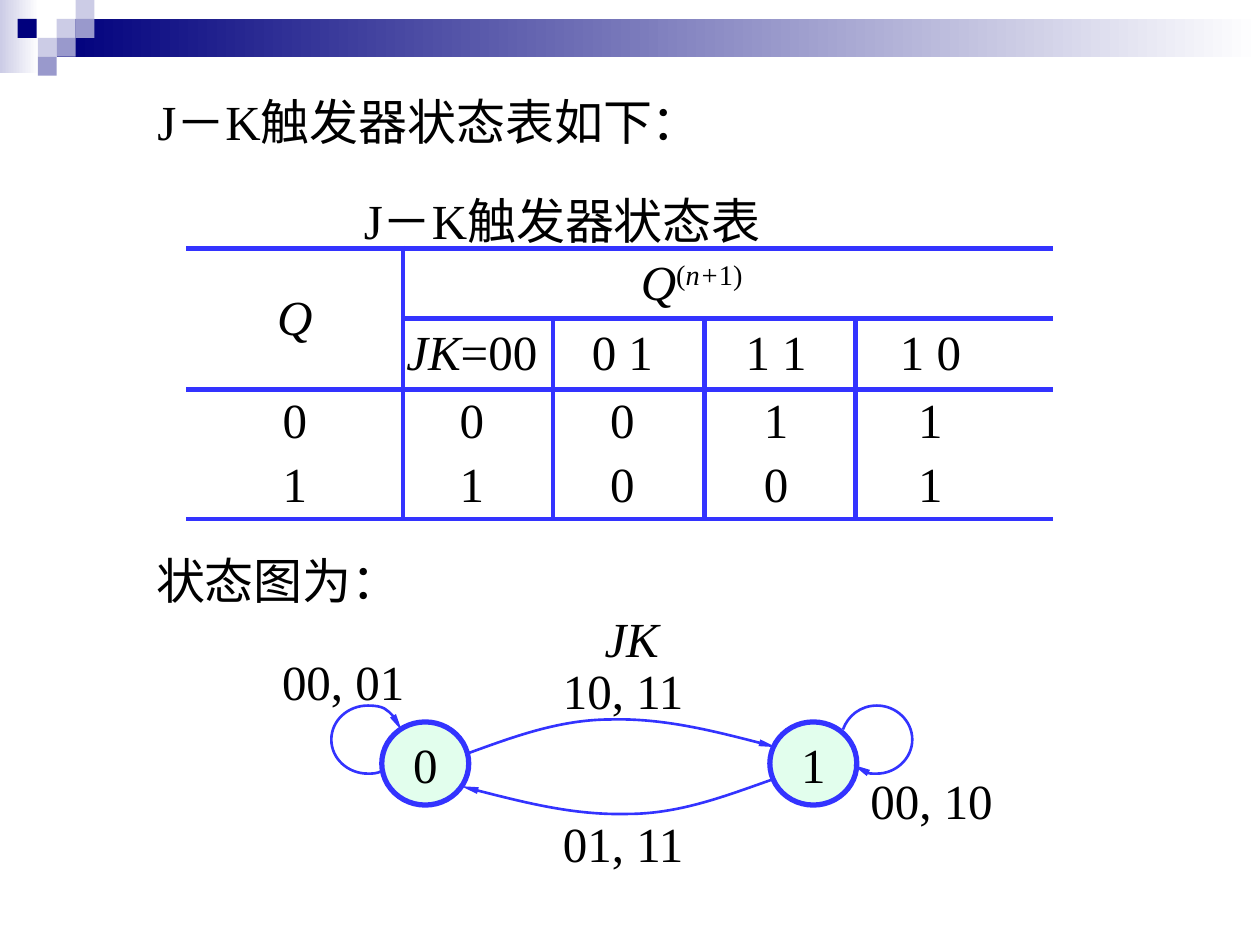
from dataclasses import dataclass

from lxml.etree import SubElement
from pptx import Presentation
from pptx.dml.color import RGBColor
from pptx.enum.shapes import MSO_SHAPE
from pptx.enum.text import MSO_ANCHOR, MSO_AUTO_SIZE, PP_ALIGN
from pptx.oxml import parse_xml
from pptx.oxml.ns import nsdecls, qn
from pptx.util import Inches, Pt


@dataclass(frozen=True)
class Theme:
    font: str = "Times New Roman"
    size: int = 28
    ink: str = "000000"
    rule: str = "3333FF"
    state: str = "E2FEED"
    navy: str = "00007D"
    lilac: str = "CCCCE6"
    violet: str = "9999CC"
    white: str = "FFFFFF"
    heavy: float = 3
    light: float = 1.5


@dataclass(frozen=True)
class Span:
    text: str
    italic: bool = False
    raised: bool = False


THEME = Theme()
COLUMNS = (1.72, 1.19, 1.2, 1.2, 1.57)
ROWS = (0.56, 0.56, 0.51, 0.52)


def color(value):
    return RGBColor.from_string(value)


def write(frame, spans, align=PP_ALIGN.LEFT):
    para = frame.paragraphs[0]
    para.alignment = align
    for span in spans:
        run = para.add_run()
        run.text = span.text
        run.font.name = THEME.font
        run.font.size = Pt(THEME.size)
        run.font.italic = span.italic
        run.font.color.rgb = color(THEME.ink)
        if span.raised:
            run.font._element.set("baseline", "30000")


def add_label(page, left, top, width, text, italic=False):
    box = page.shapes.add_textbox(Inches(left), Inches(top), Inches(width), Inches(0.57))
    box.text_frame.word_wrap = False
    box.text_frame.auto_size = MSO_AUTO_SIZE.SHAPE_TO_FIT_TEXT
    write(box.text_frame, [Span(text, italic)])


def add_block(page, left, top, width, height, fill, fade=None):
    block = page.shapes.add_shape(
        MSO_SHAPE.RECTANGLE, Inches(left), Inches(top), Inches(width), Inches(height)
    )
    block.shadow.inherit = False
    block.line.fill.background()
    if fade:
        block.fill.gradient()
        block.fill.gradient_angle = 0
        for stop, value in zip(block.fill.gradient_stops, (fill, fade)):
            stop.color.rgb = color(value)
    else:
        block.fill.solid()
        block.fill.fore_color.rgb = color(fill)


def add_banner(page):
    add_block(page, 0, 0, 0.31, 0.58, THEME.lilac, THEME.white)
    add_block(page, 0.45, 0.15, 9.55, 0.3, THEME.navy, THEME.white)
    squares = [
        (0.45, 0.15, THEME.lilac),
        (0.6, 0, THEME.lilac),
        (0.6, 0.15, THEME.violet),
        (0.3, 0.3, THEME.lilac),
        (0.14, 0.15, THEME.navy),
        (0.45, 0.3, THEME.violet),
        (0.3, 0.45, THEME.violet),
    ]
    for left, top, fill in squares:
        add_block(page, left, top, 0.15, 0.15, fill)


def set_borders(cell, row, column):
    ruled = {
        "L": column == 1 or (column > 1 and row > 0),
        "R": column == 0 or (column < 4 and row > 0),
        "T": row in (0, 2) or (row == 1 and column > 0),
        "B": row in (1, 3) or (row == 0 and column > 0),
    }
    properties = cell._tc.get_or_add_tcPr()
    for index, (side, visible) in enumerate(ruled.items()):
        paint = "<a:noFill/>"
        if visible:
            paint = f'<a:solidFill><a:srgbClr val="{THEME.rule}"/></a:solidFill>'
        border = f'<a:ln{side} w="{Pt(THEME.heavy)}" {nsdecls("a")}>{paint}</a:ln{side}>'
        properties.insert(index, parse_xml(border))


def add_state_table(page):
    contents = {
        (0, 0): [Span("Q", True)],
        (0, 1): [Span("Q", True), Span("(", raised=True),
                 Span("n+", True, True), Span("1)", raised=True)],
        (1, 1): [Span("JK", True), Span("=00")],
    }
    for column, inputs in enumerate(("0 1", "1 1", "1 0"), 2):
        contents[1, column] = [Span(inputs)]
    for row, values in enumerate(("00011", "11001"), 2):
        for column, value in enumerate(values):
            contents[row, column] = [Span(value)]

    table = page.shapes.add_table(
        len(ROWS), len(COLUMNS), Inches(1.48), Inches(1.97),
        Inches(sum(COLUMNS)), Inches(sum(ROWS))
    ).table
    table.first_row = False
    table.horz_banding = False
    for column, width in zip(table.columns, COLUMNS):
        column.width = Inches(width)
    for row, height in zip(table.rows, ROWS):
        row.height = Inches(height)
    table.cell(0, 0).merge(table.cell(1, 0))
    table.cell(0, 1).merge(table.cell(0, 4))

    right_margins = {1: 0.1, 2: 0.1, 3: 0.06, 4: 0.38}
    for row in range(len(ROWS)):
        for column in range(len(COLUMNS)):
            cell = table.cell(row, column)
            cell.fill.background()
            set_borders(cell, row, column)
            cell.vertical_anchor = MSO_ANCHOR.MIDDLE
            cell.margin_left = cell.margin_top = cell.margin_bottom = 0
            margin = 0.58 if (row, column) == (0, 1) else right_margins.get(column, 0)
            cell.margin_right = Inches(margin)
            if (row, column) in contents:
                write(cell.text_frame, contents[row, column], PP_ALIGN.CENTER)


def add_state(page, left, name):
    state = page.shapes.add_shape(
        MSO_SHAPE.OVAL, Inches(left), Inches(5.73), Inches(0.69), Inches(0.66)
    )
    state.shadow.inherit = False
    state.fill.solid()
    state.fill.fore_color.rgb = color(THEME.state)
    state.line.color.rgb = color(THEME.rule)
    state.line.width = Pt(THEME.heavy)
    state.text_frame.word_wrap = False
    state.text_frame.vertical_anchor = MSO_ANCHOR.MIDDLE
    write(state.text_frame, [Span(name)], PP_ALIGN.CENTER)


def add_transition(page, points):
    places = [(Inches(x), Inches(y)) for x, y in points]
    builder = page.shapes.build_freeform(*places[0])
    builder.add_line_segments(places[1:], close=False)
    curve = builder.convert_to_shape()
    outline = next(curve._element.iter(qn("a:path")))
    segments = outline.findall(qn("a:lnTo"))
    for start in range(0, len(segments), 3):
        bezier = SubElement(outline, qn("a:cubicBezTo"))
        for segment in segments[start:start + 3]:
            bezier.append(segment[0])
            outline.remove(segment)
    curve.shadow.inherit = False
    curve.fill.background()
    curve.line.color.rgb = color(THEME.rule)
    curve.line.width = Pt(THEME.light)
    SubElement(curve.line._get_or_add_ln(), qn("a:tailEnd"), type="triangle", w="sm", len="lg")


def add_state_diagram(page):
    for left, name in ((3.03, "0"), (6.11, "1")):
        add_state(page, left, name)
    transitions = [
        [(3.71, 5.98), (4.07, 5.85), (4.44, 5.71), (4.85, 5.71),
         (5.25, 5.7), (5.71, 5.81), (6.16, 5.93)],
        [(6.12, 6.19), (5.75, 6.32), (5.39, 6.46), (4.98, 6.46),
         (4.57, 6.47), (4.12, 6.36), (3.66, 6.24)],
        [(3.03, 6.12), (2.99, 6.14), (2.96, 6.14), (2.92, 6.14),
         (2.76, 6.14), (2.63, 6.02), (2.63, 5.87), (2.63, 5.72),
         (2.76, 5.6), (2.92, 5.6), (3.05, 5.6), (3.16, 5.69), (3.19, 5.8)],
        [(6.69, 5.79), (6.73, 5.68), (6.83, 5.6), (6.96, 5.6),
         (7.11, 5.6), (7.24, 5.72), (7.24, 5.87), (7.24, 6.02),
         (7.11, 6.14), (6.96, 6.14), (6.88, 6.14), (6.82, 6.12), (6.77, 6.07)],
    ]
    for points in transitions:
        add_transition(page, points)
    add_label(page, 4.7, 4.78, 0.63, "JK", italic=True)
    for left, top, inputs in (
        (2.14, 5.12, "00, 01"), (4.37, 5.19, "10, 11"),
        (4.37, 6.41, "01, 11"), (6.81, 6.07, "00, 10"),
    ):
        add_label(page, left, top, 1.17, inputs)


def main():
    deck = Presentation()
    deck.slide_width, deck.slide_height = Inches(10), Inches(7.5)
    page = deck.slides.add_slide(deck.slide_layouts[6])
    add_banner(page)
    add_label(page, 1.15, 0.68, 4.79, "J－K触发器状态表如下：")
    add_state_table(page)
    add_label(page, 2.79, 1.46, 3.63, "J－K触发器状态表")
    add_label(page, 1.14, 4.32, 2.14, "状态图为：")
    add_state_diagram(page)
    deck.save("out.pptx")


if __name__ == "__main__":
    main()
